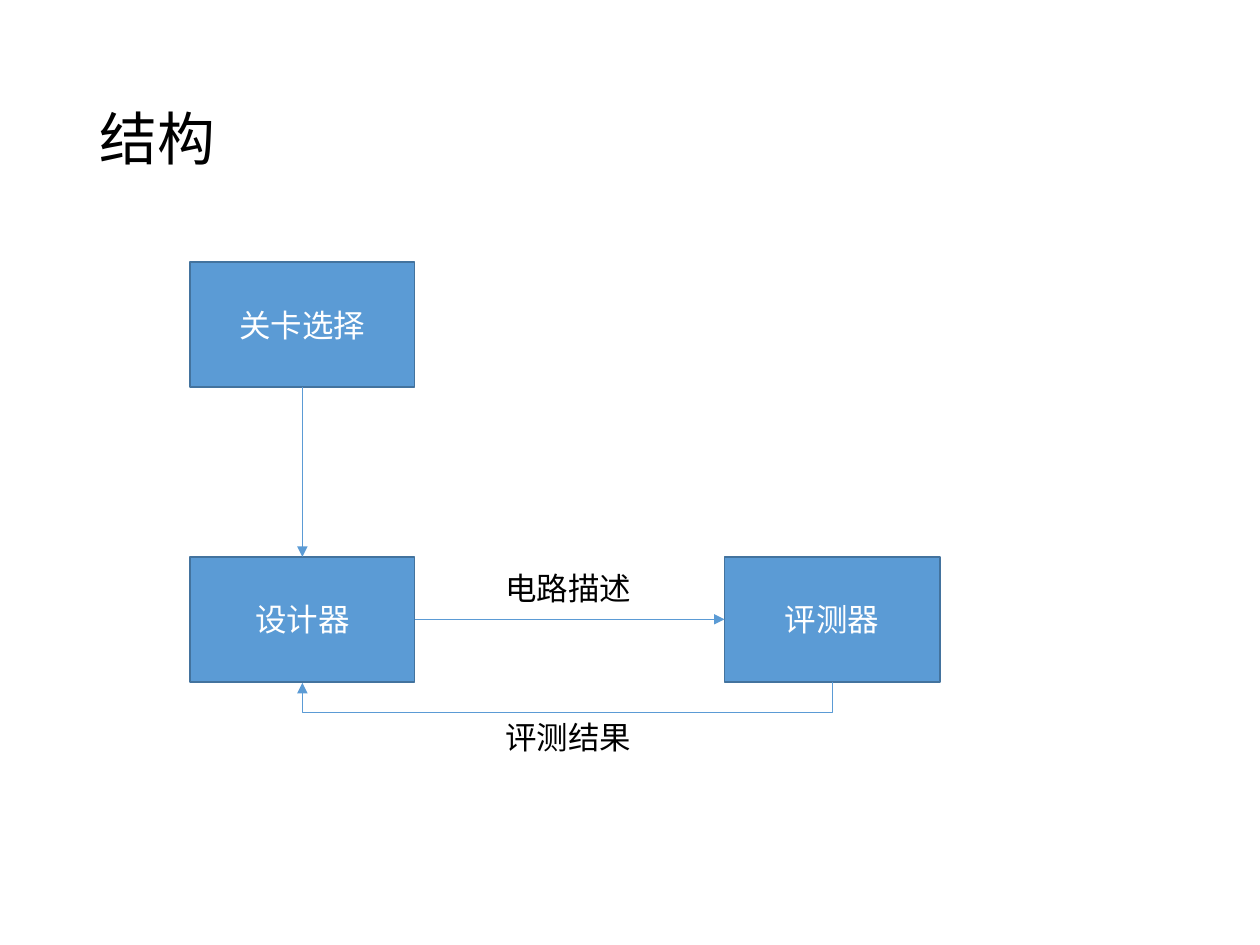
from dataclasses import dataclass

from lxml import etree
from pptx import Presentation
from pptx import util as u
from pptx.dml.color import RGBColor
from pptx.enum import shapes, text
from pptx.oxml import ns


@dataclass
class Theme:
    font: str = "Noto Sans CJK SC"
    title_size: int = 33
    body_size: int = 18
    ink: RGBColor = RGBColor(0, 0, 0)
    white: RGBColor = RGBColor(255, 255, 255)
    box_fill: RGBColor = RGBColor(0x5B, 0x9B, 0xD5)
    box_line: RGBColor = RGBColor(0x43, 0x73, 0x9E)


theme = Theme()


def write(shape, wording, size, color, alignment):
    frame = shape.text_frame
    frame.text = wording
    frame.vertical_anchor = text.MSO_ANCHOR.MIDDLE
    paragraph = frame.paragraphs[0]
    paragraph.alignment = alignment
    font = paragraph.runs[0].font
    font.name, font.size = theme.font, u.Pt(size)
    font.color.rgb = color
    # East Asian characters take their own typeface
    east_asian = etree.SubElement(font._element, ns.qn("a:ea"))
    east_asian.set("typeface", theme.font)


def style_arrow(connector):
    connector.line.color.rgb = theme.box_fill
    connector.line.width = u.Pt(0.5)
    line = connector.line._get_or_add_ln()
    etree.SubElement(line, ns.qn("a:tailEnd")).set("type", "triangle")
    etree.SubElement(connector._element.spPr, ns.qn("a:effectLst"))


presentation = Presentation()
presentation.slide_width, presentation.slide_height = u.Inches(10), u.Inches(7.5)
slide = presentation.slides.add_slide(presentation.slide_layouts[5])

# Title
title = slide.shapes.title
title.left, title.top = u.Inches(0.69), u.Inches(0.4)
title.width, title.height = u.Inches(8.62), u.Inches(1.45)
write(title, "结构", theme.title_size, theme.ink, text.PP_ALIGN.LEFT)
title.text_frame.auto_size = text.MSO_AUTO_SIZE.NONE
title.text_frame.paragraphs[0].line_spacing = 0.9

# Modules
boxes = {}
for name, left, top, width in (
    ("关卡选择", 1.51, 2.08, 1.78),
    ("设计器", 1.51, 4.42, 1.78),
    ("评测器", 5.75, 4.42, 1.71),
):
    box = slide.shapes.add_shape(
        shapes.MSO_SHAPE.FLOWCHART_PROCESS,
        u.Inches(left), u.Inches(top), u.Inches(width), u.Inches(0.99))
    box.shadow.inherit = False
    box.fill.solid()
    box.fill.fore_color.rgb = theme.box_fill
    box.line.color.rgb = theme.box_line
    box.line.width = u.Pt(1)
    write(box, name, theme.body_size, theme.white, text.PP_ALIGN.CENTER)
    boxes[name] = box

# Straight arrows between modules
for source, source_side, target, target_side in (
    ("关卡选择", 2, "设计器", 0),
    ("设计器", 3, "评测器", 1),
):
    arrow = slide.shapes.add_connector(shapes.MSO_CONNECTOR.STRAIGHT, 0, 0, 0, 0)
    arrow.begin_connect(boxes[source], source_side)
    arrow.end_connect(boxes[target], target_side)
    style_arrow(arrow)

# Feedback arrow: an elbow turned a quarter, so it dips below both modules
drop, thickness = 0.25, 0.01
feedback = slide.shapes.add_connector(
    shapes.MSO_CONNECTOR.ELBOW,
    u.Inches(4.5), u.Inches(3.31), u.Inches(4.5 + thickness), u.Inches(7.52))
properties = feedback._element.spPr
properties.find(ns.qn("a:xfrm")).set("rot", str(90 * 60000))
geometry = properties.find(ns.qn("a:prstGeom"))
adjustments = geometry.find(ns.qn("a:avLst"))
guide = etree.SubElement(adjustments, ns.qn("a:gd"))
guide.set("name", "adj1")
guide.set("fmla", f"val {round(drop / thickness * 100000)}")
style_arrow(feedback)

# Arrow labels
for wording, top in (("电路描述", 4.47), ("评测结果", 5.65)):
    label = slide.shapes.add_textbox(
        u.Inches(3.91), u.Inches(top), u.Inches(1.21), u.Inches(0.4))
    label.text_frame.word_wrap = False
    label.text_frame.auto_size = text.MSO_AUTO_SIZE.SHAPE_TO_FIT_TEXT
    write(label, wording, theme.body_size, theme.ink, text.PP_ALIGN.LEFT)

presentation.save("out.pptx")
